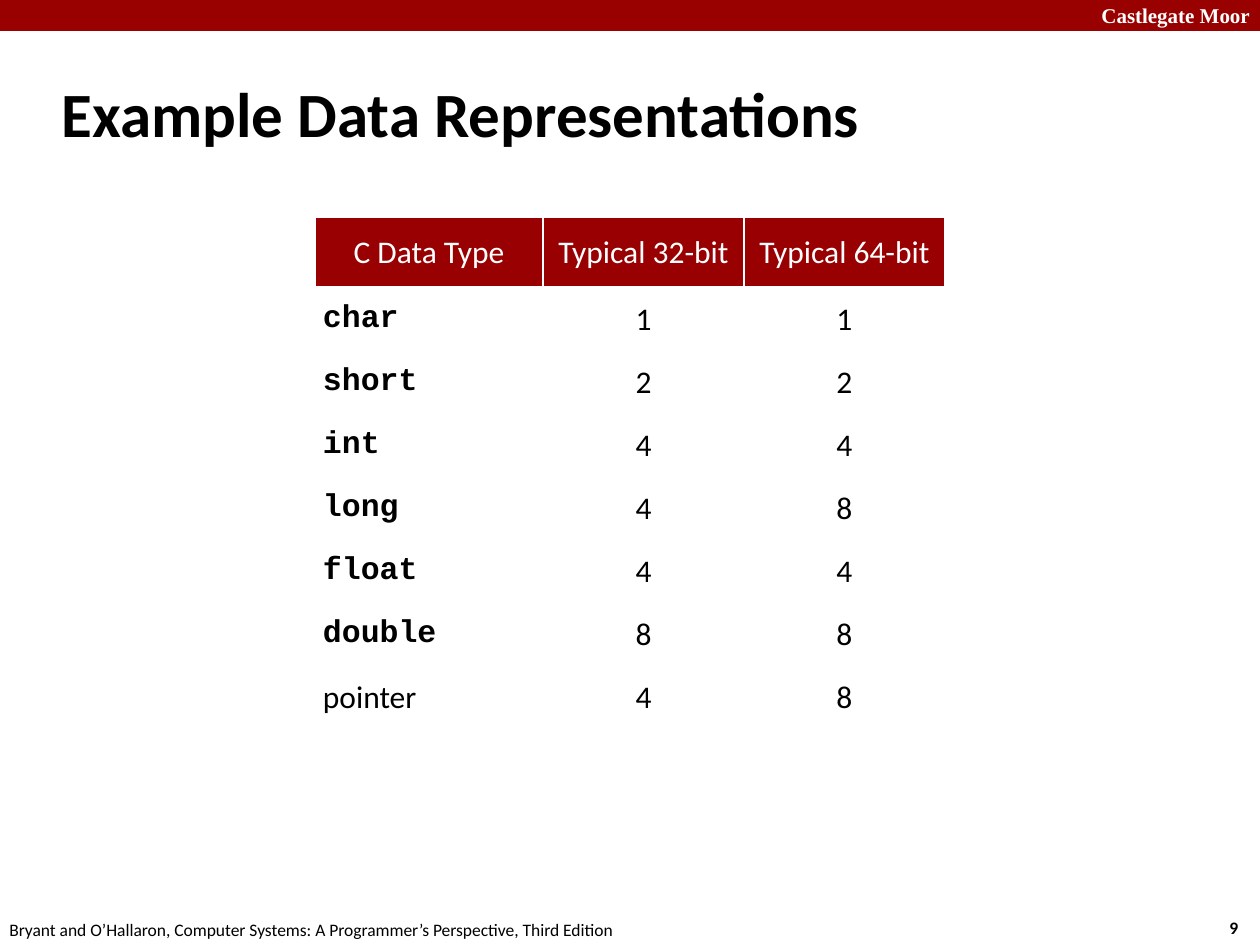
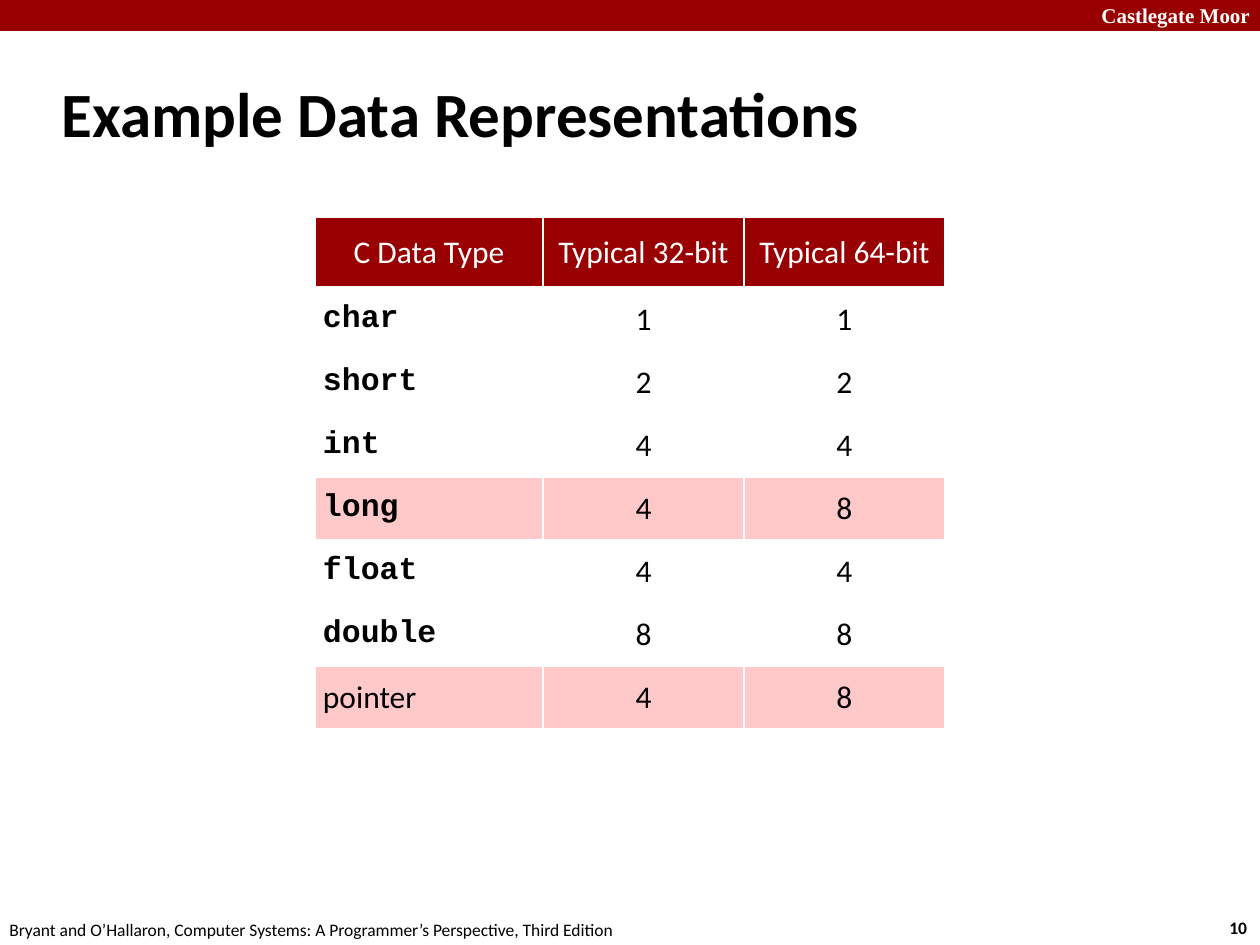
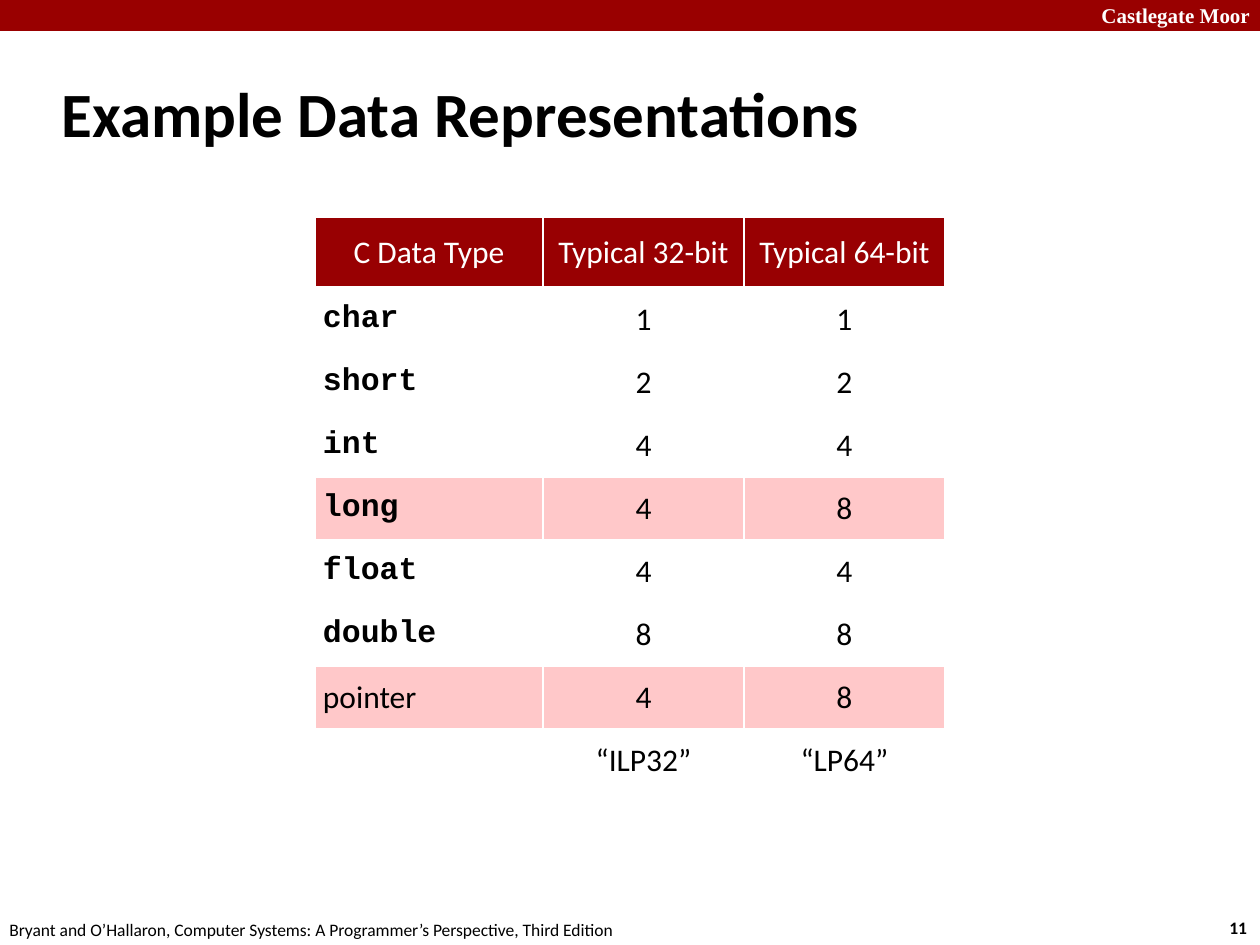
from dataclasses import dataclass

from lxml import etree
from pptx import Presentation
from pptx.dml.color import RGBColor
from pptx.enum.shapes import MSO_SHAPE
from pptx.enum.text import MSO_ANCHOR, MSO_AUTO_SIZE, PP_ALIGN
from pptx.oxml.ns import qn
from pptx.util import Emu, Pt

RECT = MSO_SHAPE.RECTANGLE
MIDDLE = MSO_ANCHOR.MIDDLE
FIXED = MSO_AUTO_SIZE.NONE
LEFT, CENTER = PP_ALIGN.LEFT, PP_ALIGN.CENTER

# Content
TITLE = "Example Data Representations"
SCHOOL = "Castlegate Moor"
BOOK = "Bryant and O’Hallaron, Computer Systems: A Programmer’s Perspective, Third Edition"
HEAD = ("C Data Type", "Typical 32-bit", "Typical 64-bit")
TYPES = [
    ("char", "1", "1"),
    ("short", "2", "2"),
    ("int", "4", "4"),
    ("long", "4", "8"),
    ("float", "4", "4"),
    ("double", "8", "8"),
    ("pointer", "4", "8"),
]
MODELS = ("", "“ILP32”", "“LP64”")
VARIED = ("long", "pointer")
PLAIN = ("pointer", "")  # first-column words that are not C keywords

# Page number, table rows, names of the tinted rows
SLIDES = [
    (9, TYPES, ()),
    (10, TYPES, VARIED),
    (11, TYPES + [MODELS], VARIED),
]


@dataclass(frozen=True)
class Theme:
    band: str = "990000"
    head: str = "980002"
    tint: str = "FFC8C9"
    ink: str = "000000"
    white: str = "FFFFFF"
    sans: str = "Calibri"
    serif: str = "Times New Roman"
    mono: str = "Courier New"
    title: int = 36
    cell: int = 18
    school: int = 12
    small: int = 10
    thin: int = 1
    thick: int = 3


LOOK = Theme()

# Layout in px
PAGE = (1260, 945)
BAND = (0, 0, 1260, 31)
SCHOOL_BOX = (1089, -4, 180, 38)
PAGE_BOX = (1217, 911, 47, 34)
BOOK_BOX = (-3, 913, 640, 34)
TITLE_BOX = (49, 60, 1046, 105)
HANG = 16
TABLE_AT = (315, 217)
COLS = (228, 201, 201)
HEAD_H, ROW_H = 71, 63
PAD = 8


def px(n):
    return Emu(round(n * 914400 / 126))


def box(rect):
    return [px(n) for n in rect]


def style(para, size, color, face=LOOK.sans, bold=False, align=LEFT):
    para.alignment = align
    font = para.font
    font.name, font.size, font.bold = face, Pt(size), bold
    font.color.rgb = RGBColor.from_string(color)


def label(slide, rect, text, *look, **more):
    frame = slide.shapes.add_textbox(*box(rect)).text_frame
    frame.word_wrap = True
    frame.text = text
    style(frame.paragraphs[0], *look, **more)


# Parts that every slide shares
def frame_page(slide, number):
    band = slide.shapes.add_shape(RECT, *box(BAND))
    band.shadow.inherit = False
    band.fill.solid()
    band.fill.fore_color.rgb = RGBColor.from_string(LOOK.band)
    band.line.fill.background()
    label(slide, SCHOOL_BOX, SCHOOL, LOOK.school, LOOK.white, LOOK.serif, bold=True)
    label(slide, PAGE_BOX, str(number), LOOK.small, LOOK.ink, bold=True)
    label(slide, BOOK_BOX, BOOK, LOOK.small, LOOK.ink)

    title = slide.shapes.title
    title.left, title.top, title.width, title.height = box(TITLE_BOX)
    frame = title.text_frame
    frame.text = TITLE
    frame.auto_size = FIXED
    frame.vertical_anchor = MIDDLE
    para = frame.paragraphs[0]
    style(para, LOOK.title, LOOK.ink, bold=True)
    props = para._p.get_or_add_pPr()
    props.set("marL", str(px(HANG)))
    props.set("indent", str(-px(HANG)))


# Table
def edge(cell, row):
    props = cell._tc.get_or_add_tcPr()
    wide = {"lnT": row == 1, "lnB": row == 0}
    for tag in ("lnL", "lnR", "lnT", "lnB"):
        width = LOOK.thick if wide.get(tag) else LOOK.thin
        line = etree.SubElement(props, qn(f"a:{tag}"), w=str(Pt(width)))
        fill = etree.SubElement(line, qn("a:solidFill"))
        etree.SubElement(fill, qn("a:srgbClr"), val=LOOK.white)


def fill_cell(cell, text, row, col, tint):
    edge(cell, row)
    if tint:
        cell.fill.solid()
        cell.fill.fore_color.rgb = RGBColor.from_string(tint)
    else:
        cell.fill.background()
    cell.margin_left = cell.margin_right = px(PAD)
    cell.margin_top = cell.margin_bottom = px(PAD)
    cell.vertical_anchor = MIDDLE
    cell.text = text
    code = row > 0 and col == 0 and text not in PLAIN
    style(
        cell.text_frame.paragraphs[0],
        LOOK.cell,
        LOOK.ink if row else LOOK.white,
        LOOK.mono if code else LOOK.sans,
        bold=code,
        align=LEFT if row and col == 0 else CENTER,
    )


def add_sizes(slide, rows, marked):
    data = [HEAD] + rows
    high = HEAD_H + ROW_H * len(rows)
    rect = (*TABLE_AT, sum(COLS), high)
    table = slide.shapes.add_table(len(data), len(COLS), *box(rect)).table
    table.first_row = table.horz_banding = False
    for col, width in enumerate(COLS):
        table.columns[col].width = px(width)
    for row, words in enumerate(data):
        table.rows[row].height = px(ROW_H if row else HEAD_H)
        tint = LOOK.tint if words[0] in marked else None
        for col, text in enumerate(words):
            fill_cell(table.cell(row, col), text, row, col, tint if row else LOOK.head)


def main():
    deck = Presentation()
    deck.slide_width, deck.slide_height = box(PAGE)
    layout = deck.slide_layouts.get_by_name("Title Only")
    for number, rows, marked in SLIDES:
        slide = deck.slides.add_slide(layout)
        frame_page(slide, number)
        add_sizes(slide, rows, marked)
    deck.save("out.pptx")


if __name__ == "__main__":
    main()
